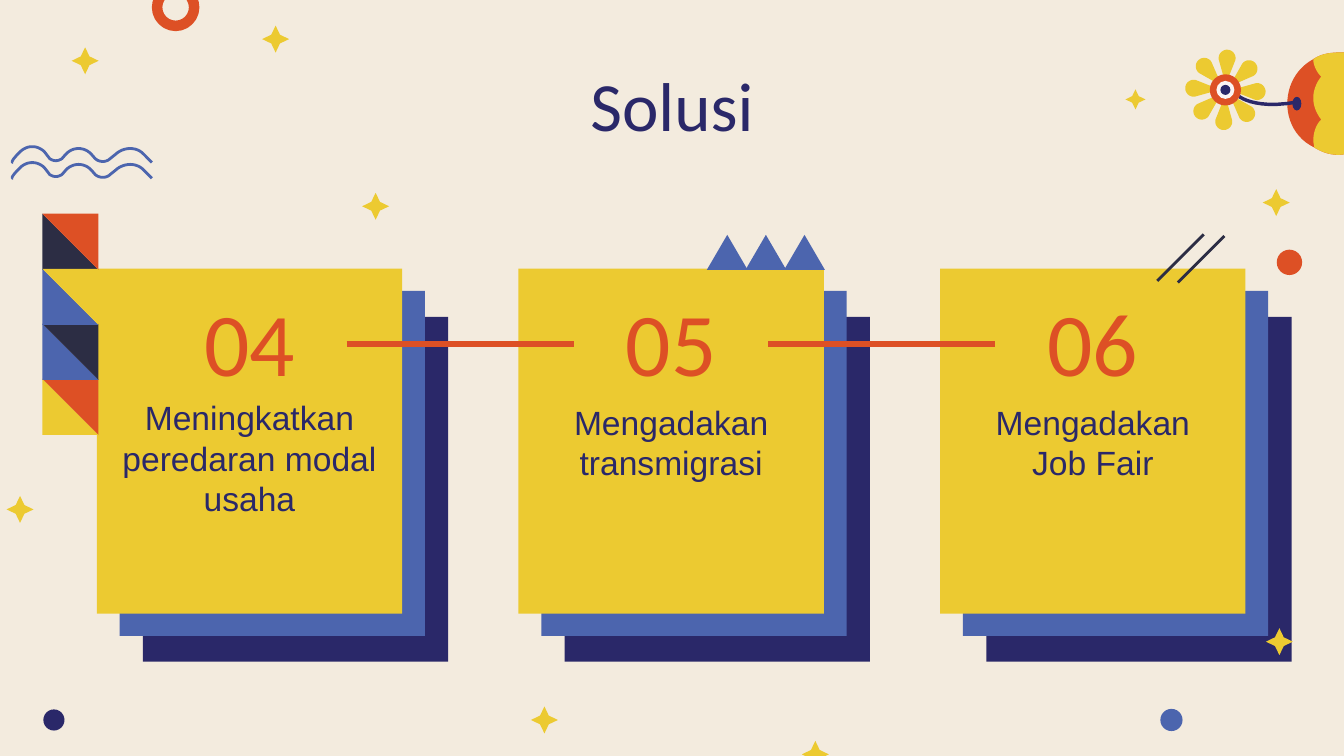
import math

import pptx
import pptx.dml.color
import pptx.enum.shapes
import pptx.enum.text
import pptx.oxml
import pptx.oxml.ns
import pptx.util

Cm = pptx.util.Cm
Pt = pptx.util.Pt
SHAPE = pptx.enum.shapes.MSO_SHAPE
ANCHOR = pptx.enum.text.MSO_ANCHOR

CREAM, NAVY, BLUE, YELLOW = "F3EBDE", "2A2869", "4C65AE", "ECCA31"
ORANGE, DARK, WHITE = "DD5025", "2C2D44", "FBF4F4"


def color(hex_string):
    return pptx.dml.color.RGBColor.from_string(hex_string)


def trace(start, *segments):
    """Points along a path of lines (x, y) and cubic curves (three x, y pairs)."""
    points = [start]
    for segment in segments:
        if len(segment) == 2:
            points.append(segment)
            continue
        x0, y0 = points[-1]
        x1, y1, x2, y2, x3, y3 = segment
        for step in range(1, 13):
            t = step / 12
            a, b, c, d = (1 - t) ** 3, 3 * t * (1 - t) ** 2, 3 * t * t * (1 - t), t ** 3
            points.append((a * x0 + b * x1 + c * x2 + d * x3,
                           a * y0 + b * y1 + c * y2 + d * y3))
    return points


class Painter:
    """Holds the style and the slide; all lengths are in centimetres."""

    heading_font, body_font = "Calibri", "Arial"
    inset = Cm(0.25)

    def __init__(self, slide):
        self.slide = slide
        self.shapes = slide.shapes

    def style(self, shape, fill=None, line=None, weight=1.5):
        shape.shadow.inherit = False
        if fill:
            shape.fill.solid()
            shape.fill.fore_color.rgb = color(fill)
        else:
            shape.fill.background()
        if line:
            shape.line.color.rgb = color(line)
            shape.line.width = Pt(weight)
        else:
            shape.line.fill.background()
        return shape

    def preset(self, kind, x, y, width, height, fill=None, **line):
        shape = self.shapes.add_shape(kind, Cm(x), Cm(y), Cm(width), Cm(height))
        return self.style(shape, fill, **line)

    def oval(self, x, y, width, height, fill=None, **line):
        """An ellipse around its centre."""
        return self.preset(SHAPE.OVAL, x - width / 2, y - height / 2, width, height, fill, **line)

    def star(self, x, y, size=0.51):
        star = self.preset(SHAPE.STAR_4_POINT, x - size / 2, y - size / 2, size, size, YELLOW)
        star.adjustments[0] = 0.23

    def outline(self, points, fill=None, **line):
        points = [(Cm(x), Cm(y)) for x, y in points]
        builder = self.shapes.build_freeform(*points[0])
        builder.add_line_segments(points[1:], close=bool(fill))
        return self.style(builder.convert_to_shape(), fill, **line)

    def line(self, x1, y1, x2, y2, stroke, weight):
        connector = self.shapes.add_connector(
            pptx.enum.shapes.MSO_CONNECTOR.STRAIGHT, Cm(x1), Cm(y1), Cm(x2), Cm(y2))
        connector.line.color.rgb = color(stroke)
        connector.line.width = Pt(weight)
        properties = connector._element.spPr
        properties.append(pptx.oxml.parse_xml(
            "<a:effectLst %s/>" % pptx.oxml.ns.nsdecls("a")))

    def text(self, paragraphs, x, y, width, height, font, size, fill, anchor=ANCHOR.TOP):
        box = self.shapes.add_textbox(Cm(x), Cm(y), Cm(width), Cm(height))
        frame = box.text_frame
        frame.word_wrap = True
        frame.vertical_anchor = anchor
        frame.margin_left = frame.margin_right = self.inset
        frame.margin_top = frame.margin_bottom = self.inset
        frame.text = "\n".join(paragraphs)
        for paragraph in frame.paragraphs:
            paragraph.alignment = pptx.enum.text.PP_ALIGN.CENTER
            paragraph.font.name = font
            paragraph.font.size = Pt(size)
            paragraph.font.color.rgb = color(fill)


presentation = pptx.Presentation()
presentation.slide_width, presentation.slide_height = Cm(25.4), Cm(14.29)
slide = presentation.slides.add_slide(presentation.slide_layouts[6])
slide.background.fill.solid()
slide.background.fill.fore_color.rgb = color(CREAM)
painter = Painter(slide)

# Layered cards
card_step = 7.97
for dx, dy, fill in [(0.87, 0.91, NAVY), (0.43, 0.42, BLUE), (0, 0, YELLOW)]:
    for column in range(3):
        painter.preset(SHAPE.RECTANGLE, 1.83 + column * card_step + dx, 5.08 + dy,
                       5.77, 6.52, fill)

# Waves
for dy in (0, 0.3):
    wave = trace((2.87, 3.07), (2.72, 2.92), (2.59, 2.77, 2.34, 2.77, 2.18, 2.92),
                 (2.08, 3), (2.01, 3.07, 1.88, 3.07, 1.8, 3),
                 (1.73, 2.92), (1.6, 2.77, 1.37, 2.77, 1.24, 2.92),
                 (1.17, 3), (1.09, 3.05, 1.02, 3.05, 0.94, 3),
                 (0.84, 2.87), (0.71, 2.74, 0.51, 2.74, 0.38, 2.87),
                 (0.25, 3, 0.2, 3.07, 0.25, 3.07))
    painter.outline([(x, y + dy) for x, y in wave], line=BLUE)

# Stars, dots and ring
painter.star(21.46, 1.88, 0.38)
for x, y in [(24.18, 12.13), (24.12, 3.83), (0.38, 9.63), (1.61, 1.15), (5.21, 0.74),
             (10.29, 13.61), (15.41, 14.26), (7.1, 3.9)]:
    painter.star(x, y)
for x, y, size, fill in [(24.37, 4.96, 0.48, ORANGE), (22.14, 13.61, 0.42, BLUE),
                         (1.02, 13.61, 0.4, NAVY)]:
    painter.oval(x, y, size, size, fill)
painter.oval(3.32, 0.14, 0.7, 0.7, line=ORANGE, weight=5.62)

# Flower pot cut by the slide edge, and stem
painter.outline(trace((24.33, 1.96), (24.33, 1.63, 24.49, 1.3, 24.82, 1.12),
                      (24.97, 1.02, 25.12, 0.99, 25.4, 0.99), (25.4, 2.92),
                      (25.2, 2.95, 25.02, 2.9, 24.84, 2.79),
                      (24.49, 2.62, 24.33, 2.29, 24.33, 1.96)), ORANGE)
painter.outline(trace((24.82, 2.67), (24.82, 2.51, 24.87, 2.36, 24.97, 2.26),
                      (24.87, 2.13, 24.82, 1.99, 24.82, 1.85),
                      (24.82, 1.73, 24.87, 1.57, 24.97, 1.45),
                      (24.89, 1.37, 24.82, 1.24, 24.82, 1.12),
                      (24.97, 1.02, 25.12, 0.99, 25.4, 0.99), (25.4, 2.92),
                      (25.2, 2.95, 25, 2.89, 24.84, 2.79)), YELLOW)
painter.outline(trace((23.39, 1.8), (23.39, 1.8, 23.67, 2.08, 24.51, 1.93)),
                line=NAVY, weight=1.85)

# Flower: eight petals around a ringed centre
flower_x, flower_y = 23.16, 1.7
petal = [(0.25, -0.05)]
for degrees in range(-100, 101, 10):
    angle = math.radians(degrees)
    petal.append((0.6 + 0.16 * math.cos(angle), 0.16 * math.sin(angle)))
petal.append((0.25, 0.05))
for index in range(8):
    turn = math.radians(45 * index + 3)
    cosine, sine = math.cos(turn), math.sin(turn)
    painter.outline([(flower_x + x * cosine - y * sine, flower_y + x * sine + y * cosine)
                     for x, y in petal], YELLOW)
for size, fill in [(0.59, ORANGE), (0.34, WHITE), (0.19, NAVY)]:
    painter.oval(flower_x, flower_y, size, size, fill)
painter.oval(24.51, 1.96, 0.17, 0.26, NAVY)

# Column of split tiles
for row, lower, upper in [(0, DARK, ORANGE), (3, YELLOW, ORANGE),
                          (2, BLUE, DARK), (1, BLUE, YELLOW)]:
    for fill, rotation in [(lower, 0), (upper, 180)]:
        half = painter.preset(SHAPE.RIGHT_TRIANGLE, 0.8, 4.04 + row * 1.04, 1.06, 1.06, fill)
        half.rotation = rotation

# Peaks and slanted strokes
for index in range(3):
    painter.preset(SHAPE.ISOSCELES_TRIANGLE, 13.36 + index * 0.73, 4.44, 0.77, 0.66, BLUE)
for x, y in [(22.75, 4.43), (23.14, 4.46)]:
    painter.line(x, y, x - 0.88, y + 0.88, DARK, 1.5)

# Title
painter.text(["Solusi"], 1.98, 0.66, 21.44, 2.62, painter.heading_font, 37, NAVY, ANCHOR.MIDDLE)

# Card numbers and labels
cards = [("04", ["Meningkatkan peredaran modal usaha"], 7.26),
         ("05", ["Mengadakan transmigrasi"], 7.34),
         ("06", ["Mengadakan", "Job Fair"], 7.34)]
for column, (number, label, label_top) in enumerate(cards):
    x = 1.72 + column * card_step
    painter.text([number], x, 5.18, 5.99, 2.36, painter.heading_font, 48, ORANGE)
    painter.text(label, x, label_top, 5.99, 3.96, painter.body_font, 18, NAVY)

# Links between cards
for index in range(2):
    x = 6.55 + index * card_step
    painter.line(x, 6.5, x + 4.29, 6.5, ORANGE, 3)

presentation.save("out.pptx")
